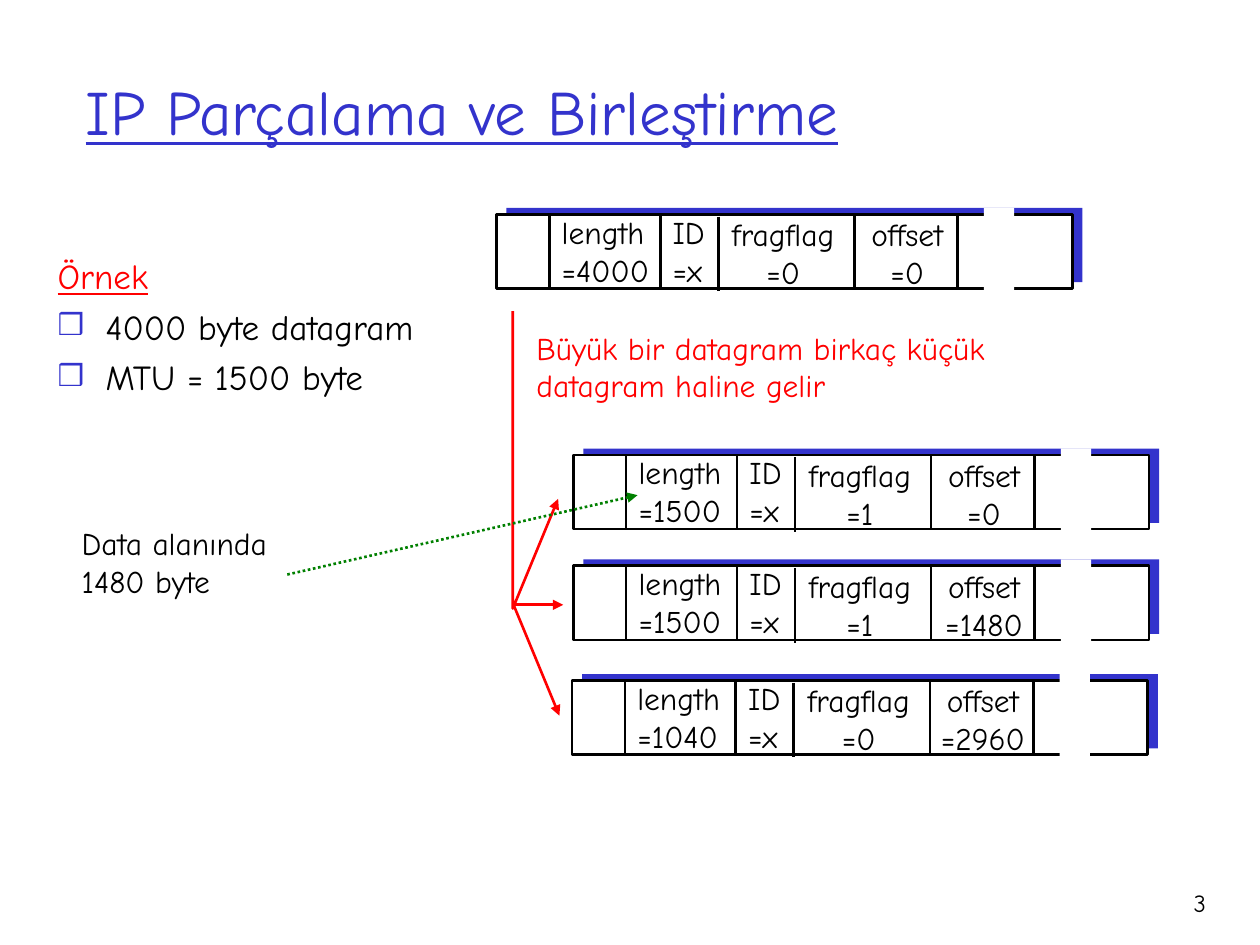
from dataclasses import dataclass
from typing import Optional

from lxml import etree
from pptx import Presentation
from pptx.dml.color import RGBColor
from pptx.enum.dml import MSO_LINE_DASH_STYLE
from pptx.enum.shapes import MSO_CONNECTOR_TYPE, MSO_SHAPE
from pptx.enum.text import MSO_ANCHOR, MSO_AUTO_SIZE, PP_ALIGN
from pptx.oxml.ns import qn
from pptx.util import Emu, Pt

EMU_PER_PX = 9144
FONT = "Comic Neue"
BLACK, WHITE, BLUE, RED, GREEN = "000000", "FFFFFF", "3333CC", "FF0000", "008000"
LINE_WIDTH = 1.5
LEFT, CENTER, RIGHT = PP_ALIGN.LEFT, PP_ALIGN.CENTER, PP_ALIGN.RIGHT
MIDDLE = MSO_ANCHOR.MIDDLE
NO_FIT, GROW = MSO_AUTO_SIZE.NONE, MSO_AUTO_SIZE.SHAPE_TO_FIT_TEXT
RECTANGLE = MSO_SHAPE.RECTANGLE
STRAIGHT = MSO_CONNECTOR_TYPE.STRAIGHT
DOTTED = MSO_LINE_DASH_STYLE.ROUND_DOT

BAR_WIDTH, BAR_HEIGHT = 457, 59
LABEL_HEIGHT = 70
DIVIDERS = ((42, 0), (130, 0), (176, 2), (284, 0), (366, 0))


@dataclass(frozen=True)
class Datagram:
    left: int
    top: int
    length: str
    fragflag: str
    offset: str


@dataclass(frozen=True)
class Field:
    name: str
    left: int
    top: int
    width: int
    align: PP_ALIGN


FIELDS = (
    Field("ID", 130, -6, 50, LEFT),
    Field("offset", 280, -4, 92, CENTER),
    Field("fragflag", 175, -4, 105, CENTER),
    Field("length", 42, -6, 94, LEFT),
)

DATAGRAMS = (
    Datagram(394, 170, "4000", "0", "0"),
    Datagram(455, 361, "1500", "1", "0"),
    Datagram(455, 449, "1500", "1", "1480"),
    Datagram(454, 540, "1040", "0", "2960"),
)


def px(length: int) -> Emu:
    return Emu(length * EMU_PER_PX)


def color(value: str) -> RGBColor:
    return RGBColor.from_string(value)


def format_text(frame, size: int, ink: str, align: PP_ALIGN = LEFT) -> None:
    for para in frame.paragraphs:
        para.alignment = align
        for span in para.runs:
            span.font.name = FONT
            span.font.size = Pt(size)
            span.font.color.rgb = color(ink)


def add_text(shapes, left: int, top: int, width: int, height: int, text: str,
             size: int = 18, ink: str = BLACK, align: PP_ALIGN = LEFT,
             wrap: bool = False):
    box = shapes.add_textbox(px(left), px(top), px(width), px(height))
    frame = box.text_frame
    frame.word_wrap = wrap
    frame.auto_size = NO_FIT if wrap else GROW
    frame.text = text
    format_text(frame, size, ink, align)
    return frame


def add_box(shapes, left: int, top: int, width: int, height: int,
            fill: str, outline: Optional[str] = None) -> None:
    box = shapes.add_shape(RECTANGLE, px(left), px(top), px(width), px(height))
    box.shadow.inherit = False
    box.fill.solid()
    box.fill.fore_color.rgb = color(fill)
    if outline:
        style_line(box.line, outline)
    else:
        box.line.fill.background()


def style_line(line, ink: str) -> None:
    line.color.rgb = color(ink)
    line.width = Pt(LINE_WIDTH)


def add_arrowhead(shape) -> None:
    outline = shape._element.spPr.find(qn("a:ln"))
    etree.SubElement(outline, qn("a:tailEnd"), type="triangle")


def add_line(shapes, start: tuple[int, int], end: tuple[int, int],
             ink: str = BLACK, arrow: bool = False, dotted: bool = False) -> None:
    line = shapes.add_connector(STRAIGHT, *map(px, start + end))
    style_line(line.line, ink)
    if dotted:
        line.line.dash_style = DOTTED
    if arrow:
        add_arrowhead(line)
    etree.SubElement(line._element.spPr, qn("a:effectLst"))


def add_datagram(slide, datagram: Datagram) -> None:
    left, top = datagram.left, datagram.top
    shapes = slide.shapes.add_group_shape().shapes
    add_box(shapes, left + 8, top - 5, BAR_WIDTH, BAR_HEIGHT, BLUE)
    add_box(shapes, left, top, BAR_WIDTH, BAR_HEIGHT, WHITE, BLACK)
    values = {"ID": "x", "length": datagram.length,
              "fragflag": datagram.fragflag, "offset": datagram.offset}
    for field in FIELDS:
        add_text(shapes, left + field.left, top + field.top, field.width, LABEL_HEIGHT,
                 f"{field.name}\n={values[field.name]}", align=field.align)
    for across, down in DIVIDERS:
        add_line(shapes, (left + across, top + down),
                 (left + across, top + down + BAR_HEIGHT))
    add_box(shapes, left + 387, top - 5, 24, 66, WHITE)


def add_split(slide) -> None:
    shapes = slide.shapes.add_group_shape().shapes
    builder = shapes.build_freeform(px(407), px(247))
    builder.add_line_segments([(px(407), px(483)), (px(443), px(396))], close=False)
    branch = builder.convert_to_shape()
    branch.shadow.inherit = False
    branch.fill.background()
    style_line(branch.line, RED)
    add_arrowhead(branch)
    add_line(shapes, (407, 480), (447, 480), RED, arrow=True)
    add_line(shapes, (408, 481), (444, 568), RED, arrow=True)
    add_text(shapes, 416, 256, 377, LABEL_HEIGHT,
             "Büyük bir datagram birkaç küçük\ndatagram haline gelir", ink=RED)


def add_bullet(para) -> None:
    properties = para._p.get_or_add_pPr()
    bullet_color = etree.SubElement(properties, qn("a:buClr"))
    etree.SubElement(bullet_color, qn("a:srgbClr"), val=BLUE)
    etree.SubElement(properties, qn("a:buSzPct"), val="85000")
    etree.SubElement(properties, qn("a:buFont"), typeface=FONT)
    etree.SubElement(properties, qn("a:buChar"), char="❒")


def add_example(slide) -> None:
    frame = add_text(slide.shapes, 36, 197, 310, 184,
                     "Örnek\n4000 byte datagram\nMTU = 1500 byte", size=20, wrap=True)
    for para in frame.paragraphs:
        para.space_before = Pt(5)
        properties = para._p.get_or_add_pPr()
        properties.set("marL", str(px(38)))
        properties.set("indent", str(px(-38)))
    heading, *items = frame.paragraphs
    heading.runs[0].font.underline = True
    heading.runs[0].font.color.rgb = color(RED)
    for item in items:
        add_bullet(item)


def set_title(slide, text: str) -> None:
    title = slide.shapes.title
    title.left, title.top, title.width, title.height = map(px, (58, 25, 850, 125))
    frame = title.text_frame
    frame.text = text
    frame.auto_size = NO_FIT
    frame.vertical_anchor = MIDDLE
    format_text(frame, 36, BLUE)
    frame.paragraphs[0].runs[0].font.underline = True


def main() -> None:
    deck = Presentation()
    deck.slide_width, deck.slide_height = px(1000), px(750)
    page = deck.slides.add_slide(deck.slide_layouts.get_by_name("Title Only"))
    set_title(page, "IP Parçalama ve Birleştirme")
    for datagram in DATAGRAMS:
        add_datagram(page, datagram)
    add_split(page)
    add_example(page)
    add_text(page.shapes, 55, 411, 176, LABEL_HEIGHT, "Data alanında\n1480 byte")
    add_line(page.shapes, (228, 456), (506, 393), GREEN, arrow=True, dotted=True)
    add_text(page.shapes, 893, 700, 74, 50, "3", size=14, align=RIGHT, wrap=True)
    deck.save("out.pptx")


if __name__ == "__main__":
    main()
